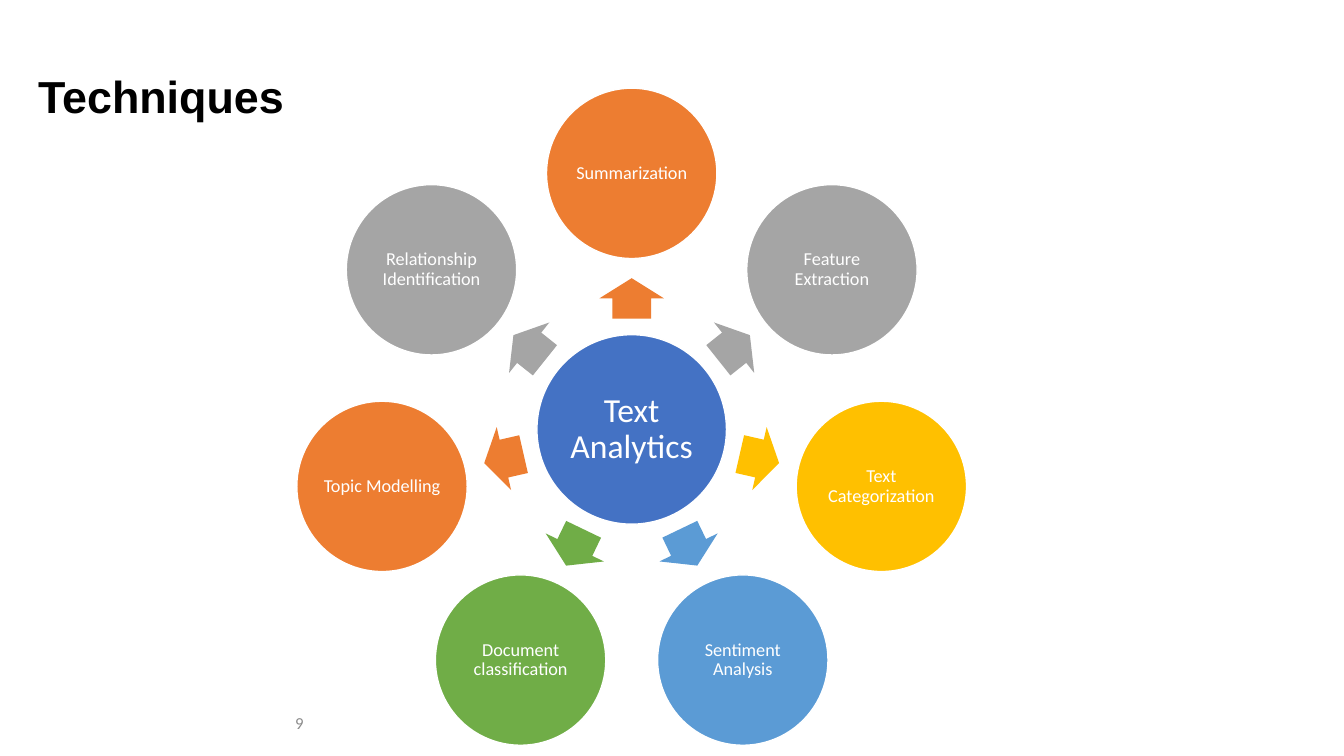
import math

from pptx import Presentation
from pptx import util as u
from pptx.dml.color import RGBColor
from pptx.enum import shapes, text

TITLE = "Techniques"
PAGE_NUMBER = "9"
HUB = ("Text Analytics", "4472C4")
TECHNIQUES = [  # clockwise from the top
    ("Summarization", "ED7D31"),
    ("Feature Extraction", "A5A5A5"),
    ("Text Categorization", "FFC000"),
    ("Sentiment Analysis", "5B9BD5"),
    ("Document classification", "70AD47"),
    ("Topic Modelling", "ED7D31"),
    ("Relationship Identification", "A5A5A5"),
]

WIDTH, HEIGHT = 13.33, 7.5
CENTER_X, CENTER_Y = 0.47 * WIDTH, 0.568 * HEIGHT
HUB_SIZE, CIRCLE_SIZE = 1.88, 1.69
ARROW_LENGTH, ARROW_WIDTH = 0.4, 0.64
CIRCLE_ORBIT, ARROW_ORBIT = 2.54, 1.3


def color(value):
    return RGBColor.from_string(value)


def write(shape, words, size, ink, font="Calibri", bold=False,
          align=text.PP_ALIGN.CENTER, spacing=0.9):
    frame = shape.text_frame
    frame.word_wrap = True
    frame.vertical_anchor = text.MSO_ANCHOR.MIDDLE
    para = frame.paragraphs[0]
    para.text = words
    para.alignment = align
    para.line_spacing = spacing
    para.font.name, para.font.size, para.font.bold = font, u.Pt(size), bold
    para.font.color.rgb = color(ink)


def add_centered(page, kind, x, y, width, height, fill):
    """Add a filled shape whose middle is at x, y."""
    shape = page.shapes.add_shape(
        kind, u.Inches(x - width / 2), u.Inches(y - height / 2),
        u.Inches(width), u.Inches(height))
    shape.shadow.inherit = False
    shape.fill.solid()
    shape.fill.fore_color.rgb = color(fill)
    shape.line.fill.background()
    return shape


def add_circle(page, x, y, diameter, words, fill, size, inset):
    circle = add_centered(page, shapes.MSO_SHAPE.OVAL, x, y, diameter, diameter, fill)
    circle.line.color.rgb = color("FFFFFF")
    circle.line.width = u.Pt(1)
    frame = circle.text_frame
    frame.margin_left = frame.margin_right = u.Inches(inset)
    frame.margin_top = frame.margin_bottom = u.Inches(inset)
    write(circle, words, size, "FFFFFF")


def add_text(page, left, top, width, height, words, size, ink, **style):
    box = page.shapes.add_textbox(*map(u.Inches, (left, top, width, height)))
    write(box, words, size, ink, **style)


def on_orbit(radius, angle):
    return (CENTER_X + radius * math.cos(math.radians(angle)),
            CENTER_Y + radius * math.sin(math.radians(angle)))


def main():
    deck = Presentation()
    deck.slide_width, deck.slide_height = u.Inches(WIDTH), u.Inches(HEIGHT)
    page = deck.slides.add_slide(deck.slide_layouts[6])

    add_text(page, 0.28, 0.26, 11.5, 1.45, TITLE, 32, "000000",
             font="Arial", bold=True, align=text.PP_ALIGN.LEFT)
    add_text(page, 2.3, 6.97, 0.81, 0.4, PAGE_NUMBER, 12, "8C8C8C",
             align=text.PP_ALIGN.RIGHT, spacing=1.0)

    add_circle(page, CENTER_X, CENTER_Y, HUB_SIZE, *HUB, 24, 0.03)
    for index, (name, fill) in enumerate(TECHNIQUES):
        angle = index * 360 / len(TECHNIQUES) - 90
        arrow = add_centered(page, shapes.MSO_SHAPE.RIGHT_ARROW,
                             *on_orbit(ARROW_ORBIT, angle),
                             ARROW_LENGTH, ARROW_WIDTH, fill)
        arrow.adjustments[0], arrow.adjustments[1] = 0.6, 0.5
        arrow.rotation = angle % 360
        add_circle(page, *on_orbit(CIRCLE_ORBIT, angle), CIRCLE_SIZE,
                   name, fill, 13, 0.02)

    deck.save("out.pptx")


if __name__ == "__main__":
    main()
